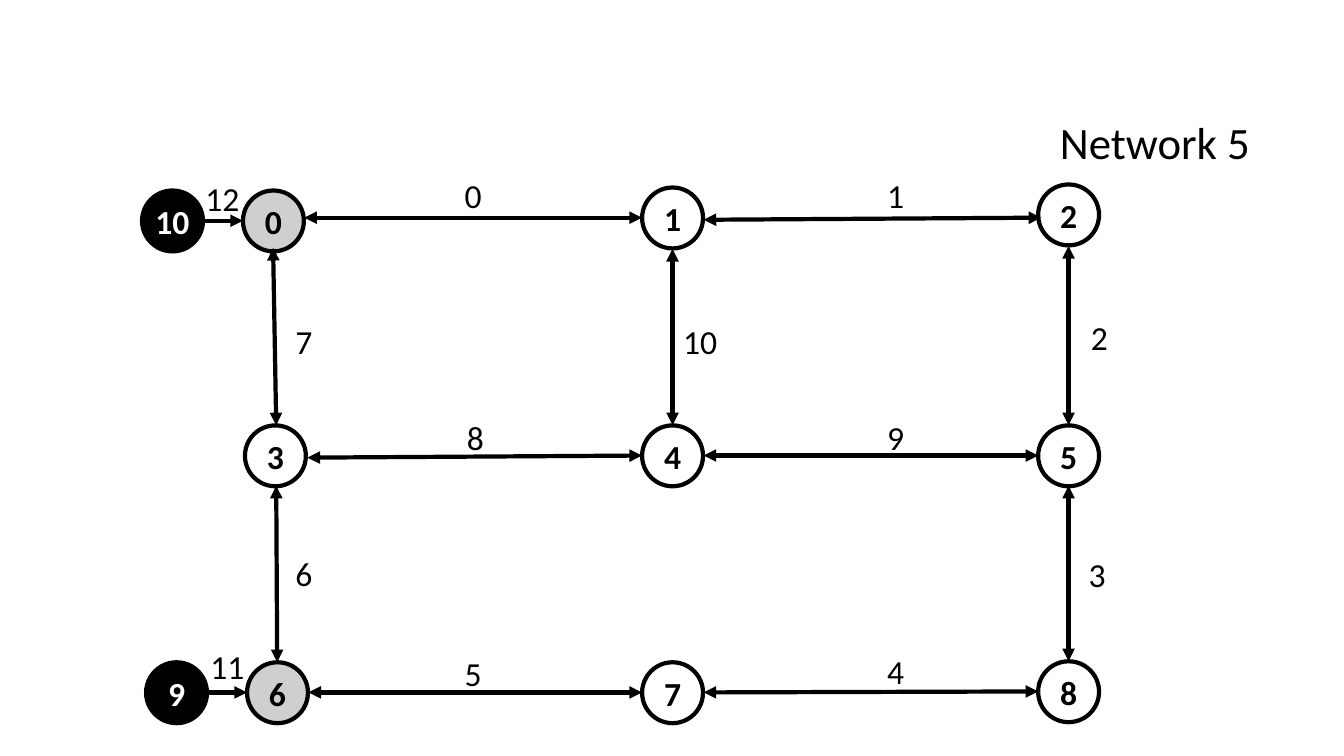
from dataclasses import dataclass

import pptx
import pptx.dml.color
import pptx.enum.shapes
import pptx.enum.text
import pptx.oxml.ns
import pptx.util
from lxml import etree

Pt = pptx.util.Pt

COLORS = {"black": "000000", "white": "FFFFFF", "grey": "D0CECE"}
FONT = "Calibri"
NODE_SIZE = 43.5
LABEL_WIDTH, LABEL_HEIGHT = 60, 36
LINE_WIDTH = 3

LEFT, MIDDLE, RIGHT = 196.7, 480.4, 763.3


@dataclass(frozen=True)
class Node:
    name: str
    x: float
    y: float
    fill: str | None = None
    text: str = "black"


@dataclass(frozen=True)
class Edge:
    name: str
    start: tuple[float, float]
    end: tuple[float, float]
    label: tuple[float, float]
    two_way: bool = True


NODES = [
    Node("0", 195.3, 157.8, "grey"),
    Node("1", MIDDLE, 155.7),
    Node("2", RIGHT, 153.5),
    Node("3", LEFT, 325.6),
    Node("4", MIDDLE, 325.6),
    Node("5", RIGHT, 325.6),
    Node("6", 198.2, 494.8, "grey"),
    Node("7", MIDDLE, 494.8),
    Node("8", RIGHT, 494.1),
    Node("9", 126.1, 494.8, "black", "white"),
    Node("10", 123.2, 157.8, "black", "white"),
]

EDGES = [
    Edge("0", (217.4, 155.5), (458.6, 155.5), (338, 139)),
    Edge("1", (502.6, 157), (743.8, 155.5), (639.7, 139.7)),
    Edge("2", (RIGHT, 303.8), (RIGHT, 175.7), (785.2, 240.5)),
    Edge("3", (RIGHT, 472.3), (RIGHT, 347), (783.7, 410.4)),
    Edge("4", (502.6, 494.6), (741.6, 493.9), (639.7, 479.5)),
    Edge("5", (220.3, 494.6), (458.6, 494.6), (338, 481)),
    Edge("6", (198, 473), (197.3, 347), (217.1, 409.7)),
    Edge("7", (197.3, 303.8), (195.1, 177.1), (217.1, 243.4)),
    Edge("8", (219.6, 326.9), (458.6, 325.4), (339.5, 312.5)),
    Edge("9", (502.6, 325.4), (741.6, 325.4), (639.7, 312.5)),
    Edge("10", (MIDDLE, 303.8), (MIDDLE, 177.8), (500, 243.4)),
    Edge("11", (147.6, 494.6), (176.4, 494.6), (162.4, 475.9), False),
    Edge("12", (144.7, 157.7), (173.5, 157.7), (158.8, 141.8), False),
]


def rgb(name: str) -> pptx.dml.color.RGBColor:
    return pptx.dml.color.RGBColor.from_string(COLORS[name])


def write(shape, text: str, size: float, color: str = "black",
          bold: bool = False) -> None:
    """Put one centred run into the shape."""
    frame = shape.text_frame
    frame.margin_left = frame.margin_right = Pt(0)
    frame.margin_top = frame.margin_bottom = Pt(0)
    frame.word_wrap = True
    frame.auto_size = pptx.enum.text.MSO_AUTO_SIZE.NONE
    frame.vertical_anchor = pptx.enum.text.MSO_ANCHOR.MIDDLE
    paragraph = frame.paragraphs[0]
    paragraph.alignment = pptx.enum.text.PP_ALIGN.CENTER
    run = paragraph.add_run()
    run.text = text
    run.font.name = FONT
    run.font.size = Pt(size)
    run.font.bold = bold
    run.font.color.rgb = rgb(color)


def draw_node(slide, node: Node) -> None:
    shape = slide.shapes.add_shape(
        pptx.enum.shapes.MSO_SHAPE.OVAL,
        Pt(node.x - NODE_SIZE / 2), Pt(node.y - NODE_SIZE / 2),
        Pt(NODE_SIZE), Pt(NODE_SIZE))
    shape.name = f"Node {node.name}"
    shape.shadow.inherit = False
    if node.fill:
        shape.fill.solid()
        shape.fill.fore_color.rgb = rgb(node.fill)
    else:
        shape.fill.background()
    shape.line.color.rgb = rgb("black")
    shape.line.width = Pt(LINE_WIDTH)
    write(shape, node.name, 24, node.text, bold=True)


def draw_edge(slide, edge: Edge) -> None:
    connector = slide.shapes.add_connector(
        pptx.enum.shapes.MSO_CONNECTOR.STRAIGHT,
        *(Pt(length) for length in edge.start + edge.end))
    connector.name = f"Edge {edge.name}"
    connector.line.color.rgb = rgb("black")
    connector.line.width = Pt(LINE_WIDTH)
    qn = pptx.oxml.ns.qn
    properties = connector.element.find(qn("p:spPr"))
    line = properties.find(qn("a:ln"))
    for tag in (["a:headEnd"] if edge.two_way else []) + ["a:tailEnd"]:
        etree.SubElement(line, qn(tag), type="triangle")
    etree.SubElement(properties, qn("a:effectLst"))


def draw_label(slide, edge: Edge) -> None:
    x, y = edge.label
    label = slide.shapes.add_textbox(
        Pt(x - LABEL_WIDTH / 2), Pt(y - LABEL_HEIGHT / 2),
        Pt(LABEL_WIDTH), Pt(LABEL_HEIGHT))
    label.name = f"Edge label {edge.name}"
    write(label, edge.name, 24)


presentation = pptx.Presentation()
presentation.slide_width, presentation.slide_height = Pt(960), Pt(540)
slide = presentation.slides.add_slide(presentation.slide_layouts[5])

# Title
title = slide.shapes.title
title.left, title.top, title.width, title.height = (
    Pt(740), Pt(78), Pt(170), Pt(46))
write(title, "Network 5", 32)

# Network
for node in NODES:
    draw_node(slide, node)
for edge in EDGES:
    draw_edge(slide, edge)
for edge in EDGES:
    draw_label(slide, edge)

presentation.save("out.pptx")
